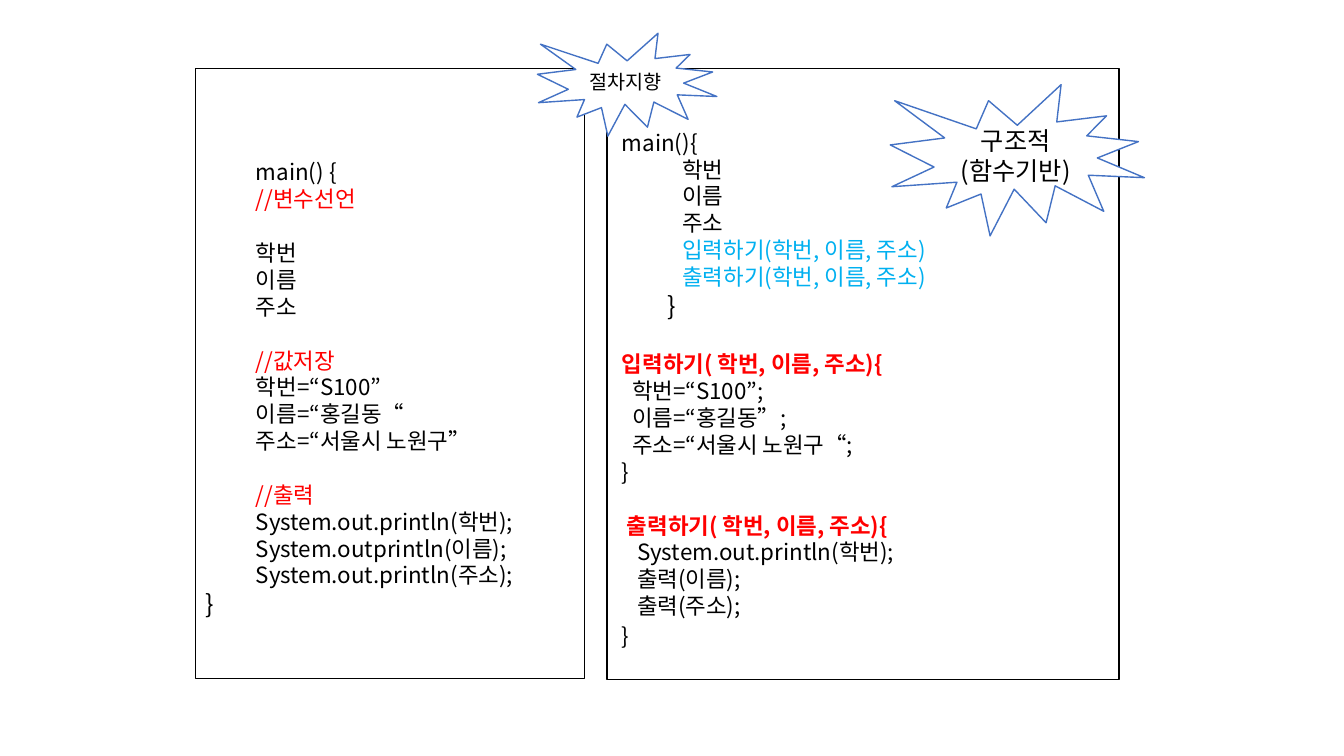
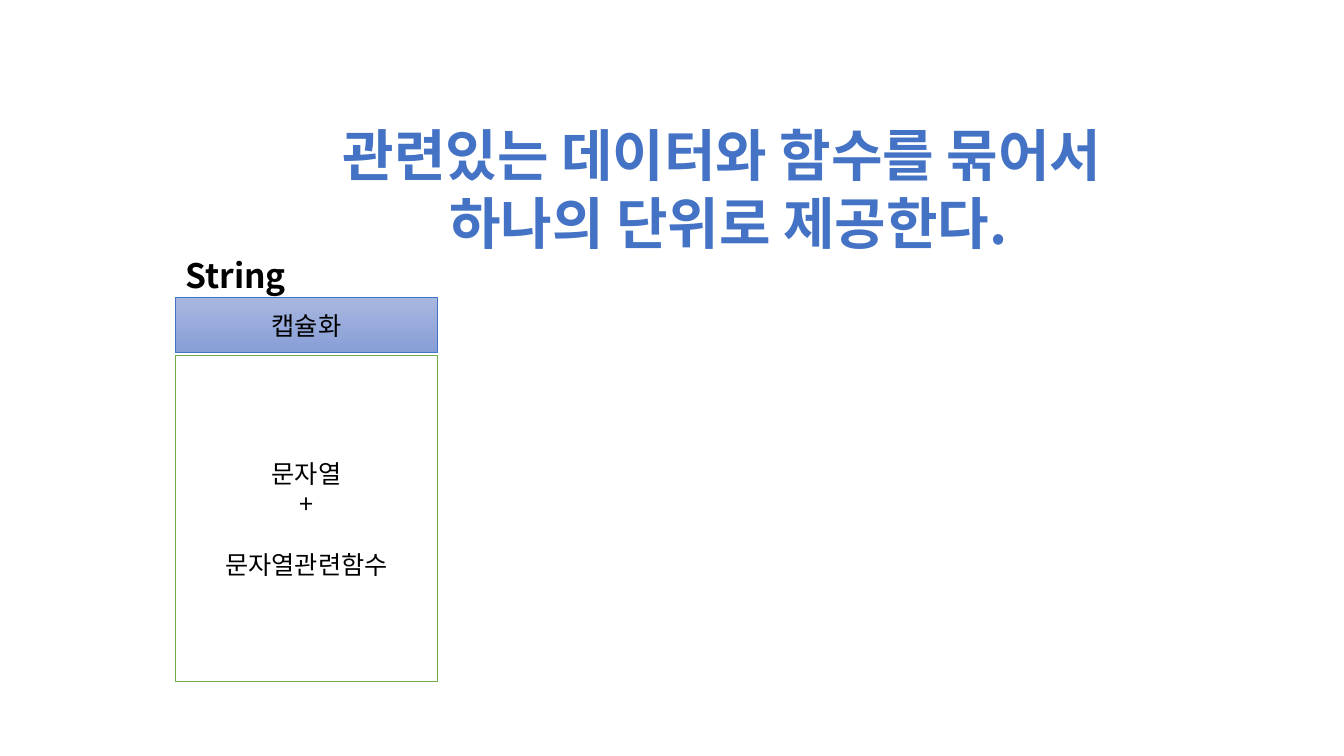
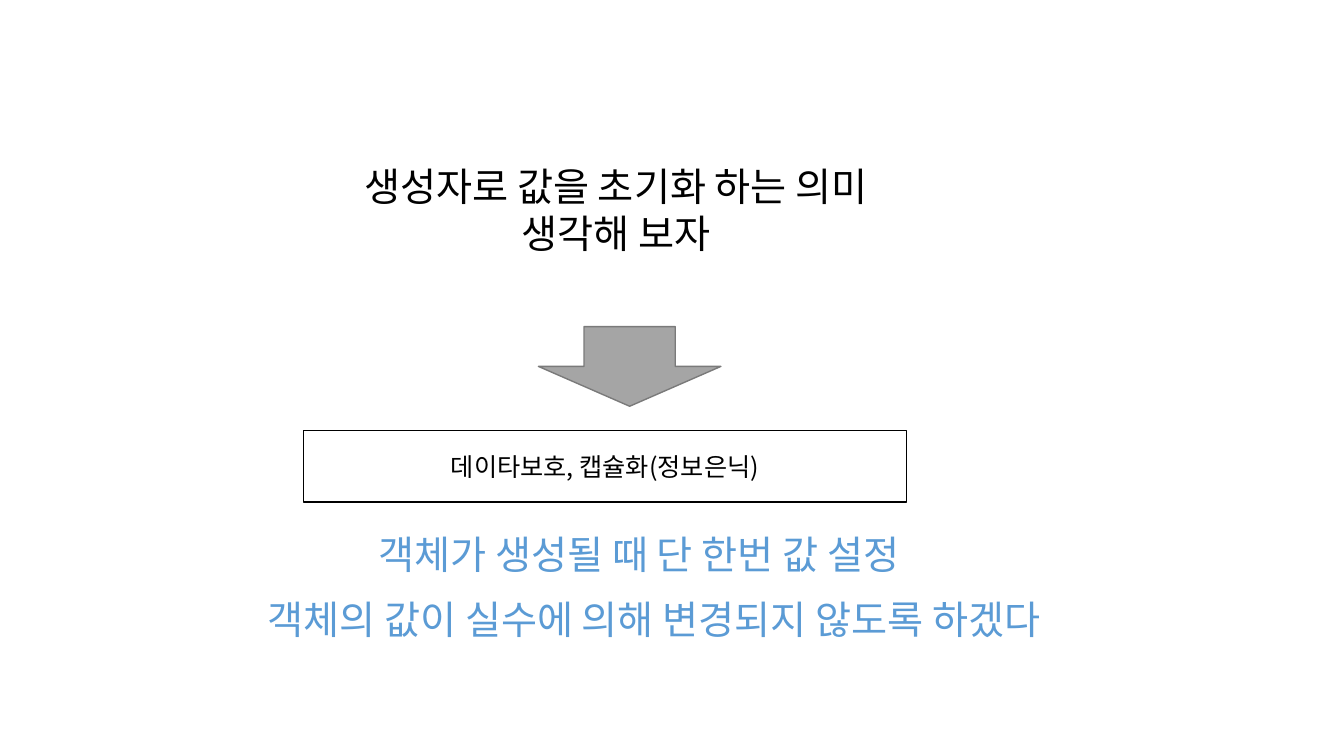
from lxml.etree import SubElement
from pptx import Presentation
from pptx.dml.color import RGBColor
from pptx.enum.shapes import MSO_SHAPE
from pptx.enum.text import MSO_ANCHOR, PP_ALIGN
from pptx.oxml.ns import qn
from pptx.util import Inches, Pt


class Theme:
    font = "Noto Sans CJK KR"
    black = "000000"
    white = "FFFFFF"
    red = "FF0000"
    sky = "00B0F0"
    blue = "4472C4"
    pale = "5B9BD5"
    green = "70AD47"
    gray = "A5A5A5"
    edge = "7A7A7A"
    fade = ("A8B7DF", "889ED7")
    note = 14
    code = 16
    body = 18
    name = 24
    head = 28
    lead = 40
    gap = 19.2
    wide = 21.6


def write(shape, rows, size, color=Theme.black, bold=False,
          align=PP_ALIGN.CENTER, anchor=MSO_ANCHOR.TOP, top=0.05):
    frame = shape.text_frame
    look = {"word_wrap": True, "vertical_anchor": anchor, "margin_top": Inches(top)}
    for key, value in look.items():
        setattr(frame, key, value)
    for spot, row in enumerate(rows):
        text, form = row if isinstance(row, tuple) else (row, {})
        para = frame.add_paragraph() if spot else frame.paragraphs[0]
        para.alignment = align
        para.space_before = Pt(form.get("gap", 0))
        para._p.get_or_add_pPr().set("marL", str(Inches(form.get("indent", 0))))
        run = para.add_run()
        run.text = text
        style = {"name": Theme.font, "size": Pt(form.get("size", size)),
                 "bold": form.get("bold", bold)}
        for key, value in style.items():
            setattr(run.font, key, value)
        run.font.color.rgb = RGBColor.from_string(form.get("color", color))
        SubElement(run._r.get_or_add_rPr(), qn("a:ea"), typeface=Theme.font)


def draw(slide, kind, place, line, fill=Theme.white, width=1):
    shape = slide.shapes.add_shape(kind, *map(Inches, place))
    shape.shadow.inherit = False
    shape.fill.solid()
    shape.fill.fore_color.rgb = RGBColor.from_string(fill)
    shape.line.color.rgb = RGBColor.from_string(line)
    shape.line.width = Pt(width)
    return shape


deck = Presentation()
deck.slide_width = Inches(13.33)
deck.slide_height = Inches(7.5)
plain = deck.slide_layouts[6]
titled = deck.slide_layouts[5]

tab = {"indent": 0.5}
mark = {"indent": 0.5, "color": Theme.red}
part = {**mark, "gap": Theme.gap}
deep = {"indent": 0.65}
call = {"indent": 0.65, "color": Theme.sky}
func = {"color": Theme.red, "bold": True}
step = {"indent": 0.15}
show = {"indent": 0.2}

steps = [
    ("main() {", tab),
    ("//변수선언", mark),
    ("학번", {**tab, "gap": Theme.gap}),
    ("이름", tab),
    ("주소", tab),
    ("//값저장", part),
    ("학번=“S100”", tab),
    ("이름=“홍길동“", tab),
    ("주소=“서울시 노원구”", tab),
    ("//출력", part),
    ("System.out.println(학번);", tab),
    ("System.outprintln(이름);", tab),
    ("System.out.println(주소);", tab),
    ("}", {"size": Theme.body}),
]
funcs = [
    ("main(){", {"indent": 0.05}),
    ("학번", deep),
    ("이름", deep),
    ("주소", deep),
    ("입력하기(학번, 이름, 주소)", call),
    ("출력하기(학번, 이름, 주소)", call),
    ("}", {**tab, "size": Theme.body}),
    ("입력하기( 학번, 이름, 주소){", {**func, "indent": 0.05, "gap": Theme.wide}),
    ("학번=“S100”;", step),
    ("이름=“홍길동”;", step),
    ("주소=“서울시 노원구“;", step),
    ("}", {"indent": 0.05}),
    ("출력하기( 학번, 이름, 주소){", {**func, "indent": 0.1, "gap": Theme.gap}),
    ("System.out.println(학번);", show),
    ("출력(이름);", show),
    ("출력(주소);", show),
    ("}", {"indent": 0.05, "gap": 2.4}),
]
slide = deck.slides.add_slide(plain)
for place, rows in [((1.94, 0.68, 3.86, 6.05), steps),
                    ((6.02, 0.68, 5.08, 6.06), funcs)]:
    panel = draw(slide, MSO_SHAPE.ROUNDED_RECTANGLE, place, Theme.black)
    panel.adjustments[0] = 0
    write(panel, rows, Theme.code, align=PP_ALIGN.LEFT,
          anchor=MSO_ANCHOR.MIDDLE, top=0.35)
for place, rows, size in [
    ((8.83, 0.84, 2.52, 1.5), ["구조적", "(함수기반)"], Theme.body),
    ((5.33, 0.33, 1.78, 1.02), ["절차지향"], Theme.note),
]:
    burst = draw(slide, MSO_SHAPE.EXPLOSION1, place, Theme.blue)
    write(burst, rows, size, anchor=MSO_ANCHOR.MIDDLE)

pages = []
for place, rows, form in [
    ((2.8, 1.15, 8.85, 1.45),
     ["관련있는 데이터와 함수를 묶어서 ", "하나의 단위로 제공한다."],
     {"size": Theme.lead, "color": Theme.blue, "bold": True}),
    ((3.08, 1.56, 6.06, 1.04),
     ["생성자로 값을 초기화 하는 의미", "생각해 보자"],
     {"size": Theme.head}),
]:
    slide = deck.slides.add_slide(titled)
    title = slide.shapes.title
    for key, value in zip(("left", "top", "width", "height"), place):
        setattr(title, key, Inches(value))
    write(title, rows, **form)
    pages.append(slide)
pack, guard = pages

body = draw(pack, MSO_SHAPE.RECTANGLE, (1.74, 3.53, 2.6, 3.23), Theme.green)
write(body, ["문자열", "+", ("문자열관련함수", {"gap": Theme.wide})],
      Theme.body, anchor=MSO_ANCHOR.MIDDLE)
cap = draw(pack, MSO_SHAPE.RECTANGLE, (1.74, 2.95, 2.6, 0.55), Theme.blue, width=0.5)
cap.fill.gradient()
cap.fill.gradient_angle = 270
for spot, (stop, color) in enumerate(zip(cap.fill.gradient_stops, Theme.fade)):
    stop.position = spot
    stop.color.rgb = RGBColor.from_string(color)
write(cap, ["캡슐화"], Theme.body, anchor=MSO_ANCHOR.MIDDLE)
label = pack.shapes.add_textbox(*map(Inches, (1.74, 2.48, 1.69, 0.5)))
write(label, ["String"], Theme.name, bold=True, align=PP_ALIGN.LEFT)

draw(guard, MSO_SHAPE.DOWN_ARROW, (5.34, 3.24, 1.81, 0.79), Theme.edge, Theme.gray)
goal = draw(guard, MSO_SHAPE.RECTANGLE, (3.01, 4.27, 5.98, 0.71), Theme.black)
write(goal, ["데이타보호, 캡슐화(정보은닉)"], Theme.body, anchor=MSO_ANCHOR.MIDDLE)
for place, text in [
    ((3.24, 5.21, 6.28, 0.57), "객체가 생성될 때 단 한번 값 설정 "),
    ((2.04, 5.86, 8.89, 0.57), "객체의 값이 실수에 의해 변경되지 않도록 하겠다"),
]:
    point = guard.shapes.add_textbox(*map(Inches, place))
    write(point, [text], Theme.head, Theme.pale)

deck.save("out.pptx")
